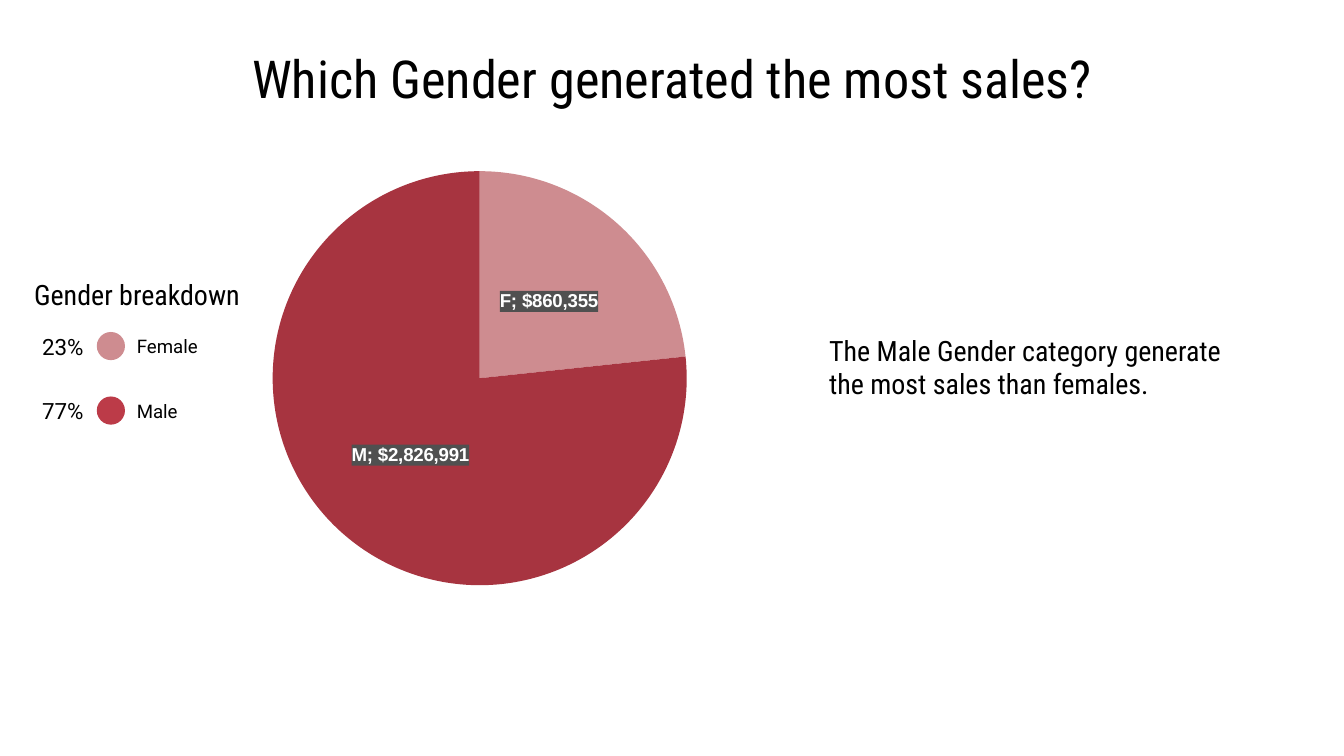
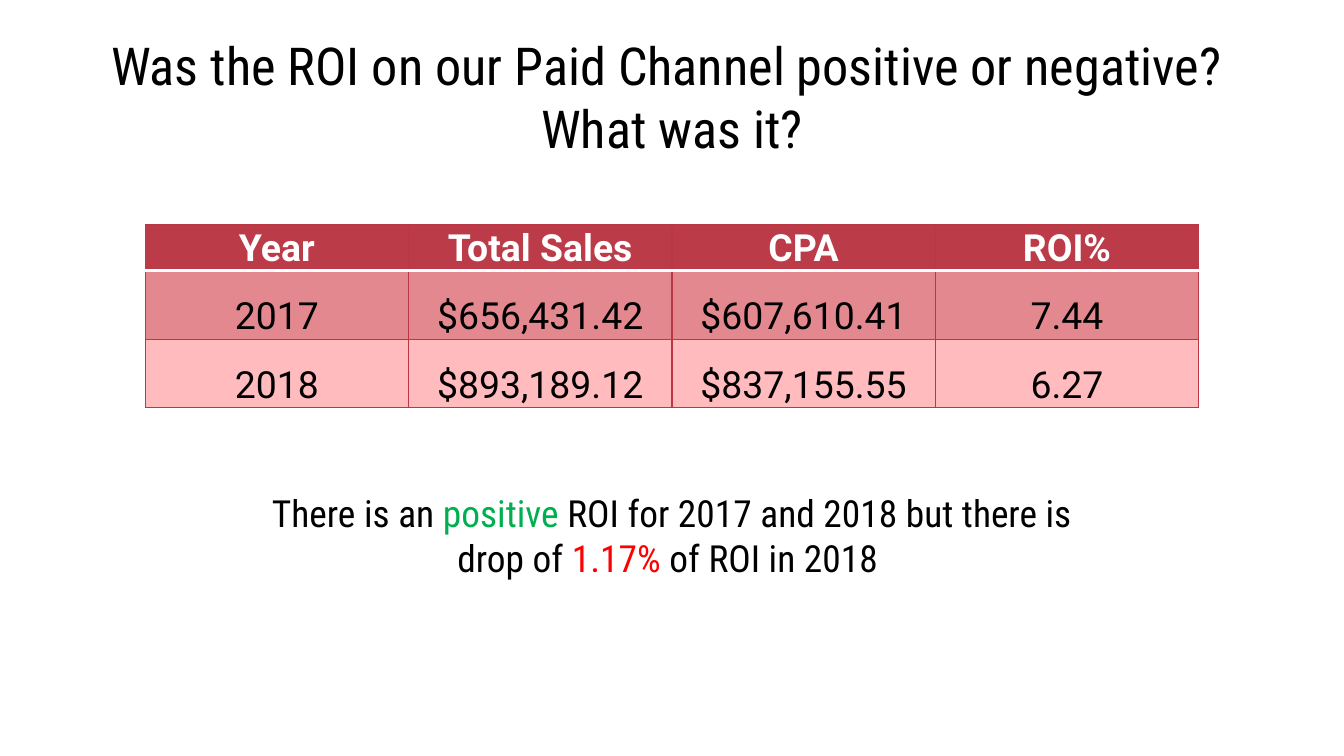
from dataclasses import dataclass

from lxml import etree
from pptx import Presentation
from pptx.chart.data import CategoryChartData
from pptx.dml.color import RGBColor
from pptx.enum.chart import XL_CHART_TYPE, XL_LABEL_POSITION
from pptx.enum.shapes import MSO_SHAPE
from pptx.enum.text import MSO_ANCHOR, PP_ALIGN
from pptx.oxml import parse_xml
from pptx.oxml.ns import nsdecls, qn
from pptx.util import Inches, Pt

PIE = XL_CHART_TYPE.PIE
LABEL_CENTER = XL_LABEL_POSITION.CENTER
CIRCLE = MSO_SHAPE.OVAL
MIDDLE, BOTTOM = MSO_ANCHOR.MIDDLE, MSO_ANCHOR.BOTTOM
LEFT, CENTER, RIGHT = PP_ALIGN.LEFT, PP_ALIGN.CENTER, PP_ALIGN.RIGHT


@dataclass(frozen=True)
class Theme:
    # Colours
    ink: str = "000000"
    white: str = "FFFFFF"
    red: str = "BC3B48"
    rose: str = "CE8C90"
    pie_red: str = "A73440"
    label_back: str = "505050"
    row_dark: str = "E4888F"
    row_light: str = "FFBBBE"
    border: str = "BB3744"
    good: str = "00B050"
    bad: str = "FF0000"
    # Fonts
    heading: str = "Roboto Condensed"
    body: str = "Roboto"
    chart: str = "Arial"
    # Type sizes
    title: int = 28
    large: int = 20
    medium: int = 15
    share: int = 12
    small: int = 10


THEME = Theme()

# The slide is a grid of 100 columns by 56.25 rows of square cells
SLIDE_WIDTH, SLIDE_HEIGHT = Inches(10), Inches(5.625)
CELL = SLIDE_WIDTH / 100


def grid(*cells):
    return [round(CELL * count) for count in cells]


def style_font(font, size, color=THEME.ink, family=THEME.heading, bold=False):
    font.size, font.name, font.bold = Pt(size), family, bold
    font.color.rgb = RGBColor.from_string(color)


def add_text(shapes, area, text, size, align=LEFT, family=THEME.heading):
    """Add a vertically centred text; text is a string or (words, colour) pairs."""
    frame = shapes.add_textbox(*grid(*area)).text_frame
    frame.word_wrap = True
    frame.vertical_anchor = MIDDLE
    frame.margin_left = frame.margin_right = Inches(0.1)
    frame.margin_top = frame.margin_bottom = Inches(0.1)
    paragraph = frame.paragraphs[0]
    paragraph.alignment = align
    if isinstance(text, str):
        paragraph.text = text
        for run in paragraph.runs:
            style_font(run.font, size, family=family)
        return
    for words, color in text:
        run = paragraph.add_run()
        run.text = words
        style_font(run.font, size, color, family)


def add_title(slide, text, top):
    add_text(slide.shapes, (3.4, top, 93.2, 5.3), text, THEME.title, CENTER)


def add_legend_entry(slide, top, share, name, color):
    dot_left, dot_size = 7.2, 2.1
    entry = slide.shapes.add_group_shape().shapes
    dot = entry.add_shape(CIRCLE, *grid(dot_left, top, dot_size, dot_size))
    dot.shadow.inherit = False
    dot.fill.solid()
    dot.fill.fore_color.rgb = RGBColor.from_string(color)
    dot.line.fill.background()
    add_text(entry, (9.2, top, 12.2, dot_size), name, THEME.small,
             family=THEME.body)
    add_text(entry, (1.7, top, 5.5, dot_size), share, THEME.share, RIGHT,
             THEME.body)


def place_plot(chart, **shares):
    """Fix the inner plot area as shares (x, y, w, h) of the chart."""
    plot_area = chart.plots[0]._element.getparent()
    for layout in plot_area.findall(qn("c:layout")):
        plot_area.remove(layout)
    modes = '<c:layoutTarget val="inner"/><c:xMode val="edge"/><c:yMode val="edge"/>'
    lengths = "".join(f'<c:{key} val="{share}"/>' for key, share in shares.items())
    plot_area.insert(0, parse_xml(
        f'<c:layout {nsdecls("c")}><c:manualLayout>{modes}{lengths}'
        f'</c:manualLayout></c:layout>'))


def add_sales_pie(slide, area, sales, colors):
    data = CategoryChartData(number_format='"$"#,##0')
    data.categories = list(sales)
    data.add_series("Series 1", list(sales.values()))
    chart = slide.shapes.add_chart(PIE, *grid(*area), data).chart
    chart.has_legend = chart.has_title = False
    style_font(chart.font, THEME.small, family=THEME.chart)
    place_plot(chart, x=0.12, y=0.04, w=0.76, h=0.92)

    plot = chart.plots[0]
    plot.vary_by_categories = True
    for index, color in enumerate(colors):
        slice_format = plot.series[0].points[index].format
        slice_format.fill.solid()
        slice_format.fill.fore_color.rgb = RGBColor.from_string(color)
        slice_format.line.fill.background()

    # Category and value on a dark label
    labels = plot.series[0].data_labels
    labels.show_value = labels.show_category_name = True
    labels.show_percentage = False
    labels.number_format, labels.number_format_is_linked = '"$"#,##0', False
    labels.position = LABEL_CENTER
    style_font(labels.font, THEME.small, THEME.white, THEME.chart, bold=True)
    label_xml = labels._element
    label_xml.find(qn("c:numFmt")).addnext(parse_xml(
        f'<c:spPr {nsdecls("c", "a")}><a:solidFill>'
        f'<a:srgbClr val="{THEME.label_back}"/></a:solidFill></c:spPr>'))
    separator = etree.Element(qn("c:separator"))
    separator.text = "; "
    flags = [child for child in label_xml if child.tag.startswith(qn("c:show"))
             and child.tag != qn("c:showLeaderLines")]
    flags[-1].addnext(separator)


def set_borders(cell, **edges):
    """Draw cell edges, given as lnL, lnR, lnT, lnB = (colour, points)."""
    properties = cell._tc.get_or_add_tcPr()
    for position, (edge, (color, width)) in enumerate(edges.items()):
        properties.insert(position, parse_xml(
            f'<a:{edge} {nsdecls("a")} w="{Pt(width)}"><a:solidFill>'
            f'<a:srgbClr val="{color}"/></a:solidFill></a:{edge}>'))


def add_roi_table(slide, area, row_heights, rows):
    table = slide.shapes.add_table(len(rows), len(rows[0]), *grid(*area)).table
    fills = (THEME.red, THEME.row_dark, THEME.row_light)
    thin, header_rule = (THEME.border, 0.75), (THEME.white, 2)
    for row_index, values in enumerate(rows):
        table.rows[row_index].height = grid(row_heights[row_index])[0]
        is_header = row_index == 0
        for column, value in enumerate(values):
            cell = table.cell(row_index, column)
            cell.fill.solid()
            cell.fill.fore_color.rgb = RGBColor.from_string(fills[row_index])
            cell.vertical_anchor = BOTTOM
            cell.margin_left = cell.margin_right = cell.margin_top = Inches(0.01)
            cell.margin_bottom = 0
            paragraph = cell.text_frame.paragraphs[0]
            paragraph.text = value
            paragraph.alignment = CENTER
            style_font(paragraph.runs[0].font, THEME.large,
                       THEME.white if is_header else THEME.ink,
                       THEME.body, is_header)
            set_borders(cell, lnL=thin, lnR=thin,
                        lnT=header_rule if row_index == 1 else thin,
                        lnB=header_rule if is_header else thin)


def build_gender_slide(slide):
    add_title(slide, "Which Gender generated the most sales?", 3.1)
    add_sales_pie(slide, (15.3, 11.4, 40.8, 33.5),
                  {"F": 860355, "M": 2826991}, (THEME.rose, THEME.pie_red))

    # Legend
    add_text(slide.shapes, (0, 19.9, 20.4, 4), "Gender breakdown",
             THEME.medium, CENTER)
    entries = (("23%", "Female", THEME.rose), ("77%", "Male", THEME.red))
    for index, entry in enumerate(entries):
        add_legend_entry(slide, 24.7 + 4.8 * index, *entry)

    # Finding
    add_text(slide.shapes, (60.7, 20.1, 32.2, 14.4),
             "The Male Gender category generate the most sales than females.",
             THEME.medium)


def build_roi_slide(slide):
    add_title(slide, "Was the ROI on our Paid Channel positive or negative? \v"
                     "What was it?", 4.5)
    add_roi_table(slide, (10.8, 16.7, 78.4, 13.6), (3.4, 5.1, 5.1), (
        ("Year", "Total Sales", "CPA", "ROI%"),
        ("2017", "$656,431.42", "$607,610.41", "7.44"),
        ("2018", "$893,189.12", "$837,155.55", "6.27"),
    ))

    # Finding
    add_text(slide.shapes, (17.6, 32.6, 64.8, 14.4), (
        ("There is an ", THEME.ink),
        ("positive", THEME.good),
        (" ROI for 2017 and 2018 but there is drop of ", THEME.ink),
        ("1.17%", THEME.bad),
        (" of ROI in 2018 ", THEME.ink),
    ), THEME.large, CENTER)


def main():
    deck = Presentation()
    deck.slide_width, deck.slide_height = SLIDE_WIDTH, SLIDE_HEIGHT
    blank = deck.slide_layouts[6]
    for build in (build_gender_slide, build_roi_slide):
        build(deck.slides.add_slide(blank))
    deck.save("out.pptx")


if __name__ == "__main__":
    main()
